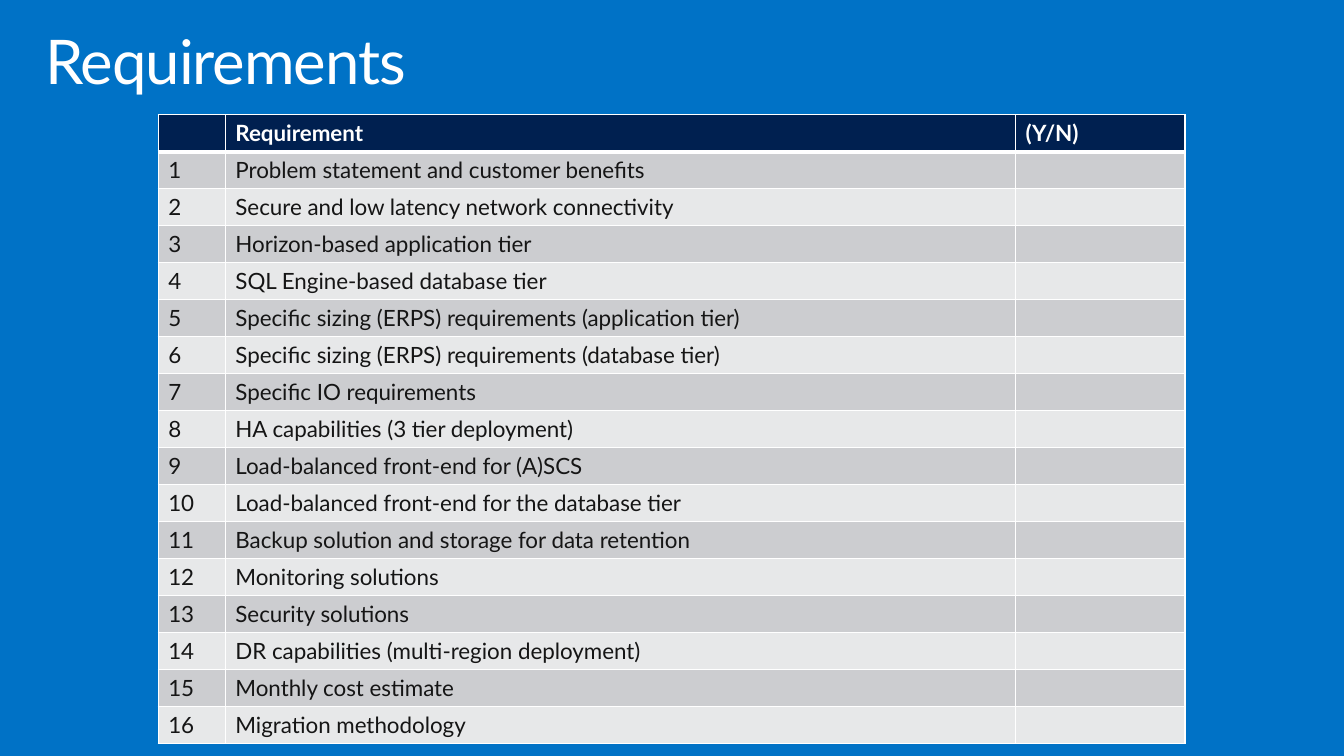
from lxml import etree
from pptx import Presentation
from pptx.dml import color as c
from pptx.oxml import ns
from pptx.util import Pt

FONT = "Lato"
WHITE, INK, BLUE, NAVY = "FFFFFF", "151515", "0072C6", "002050"
BANDS = ("CCCDD0", "E7E8E9")
COLUMN_WIDTHS = (48, 564.5, 121)
ROW_HEIGHT = 26.4
REQUIREMENTS = (
    "Problem statement and customer benefits",
    "Secure and low latency network connectivity",
    "Horizon-based application tier",
    "SQL Engine-based database tier",
    "Specific sizing (ERPS) requirements (application tier)",
    "Specific sizing (ERPS) requirements (database tier)",
    "Specific IO requirements",
    "HA capabilities (3 tier deployment)",
    "Load-balanced front-end for (A)SCS",
    "Load-balanced front-end for the database tier",
    "Backup solution and storage for data retention",
    "Monitoring solutions",
    "Security solutions",
    "DR capabilities (multi-region deployment)",
    "Monthly cost estimate",
    "Migration methodology",
)


def paint(color_format, value):
    """Give a solid fill or a font a hex colour."""
    target = color_format.fore_color if hasattr(color_format, "fore_color") else color_format.color
    target.rgb = c.RGBColor.from_string(value)


def write(frame, content, size=16, color=INK, bold=False, spacing=0, line_spacing=None):
    """Write one paragraph, keeping the text size even when it is empty."""
    paragraph = frame.paragraphs[0]
    paragraph.line_spacing = line_spacing
    if not content:
        ending = etree.SubElement(paragraph._p, ns.qn("a:endParaRPr"))
        ending.set("sz", str(size * 100))
        etree.SubElement(ending, ns.qn("a:latin")).set("typeface", FONT)
        return
    run = paragraph.add_run()
    run.text = content
    run.font.name, run.font.size, run.font.bold = FONT, Pt(size), bold
    paint(run.font, color)
    if spacing:
        run._r.get_or_add_rPr().set("spc", str(int(spacing * 100)))


def add_borders(cell, top=1, bottom=1):
    """Draw white borders around a cell."""
    properties = cell._tc.get_or_add_tcPr()
    for side, width in (("L", 1), ("R", 1), ("T", top), ("B", bottom)):
        line = etree.SubElement(properties, ns.qn(f"a:ln{side}"), w=str(Pt(width)))
        fill = etree.SubElement(line, ns.qn("a:solidFill"))
        etree.SubElement(fill, ns.qn("a:srgbClr"), val=WHITE)


def add_title(slide, content):
    """Add the slide title."""
    shape = slide.shapes.add_textbox(Pt(21), Pt(15), Pt(935), Pt(104.5))
    frame = shape.text_frame
    frame.word_wrap = True
    frame.margin_left = frame.margin_right = Pt(11.5)
    frame.margin_top = frame.margin_bottom = Pt(7.2)
    write(frame, content, size=44, color=WHITE, spacing=-0.8, line_spacing=0.9)


def add_requirements_table(slide):
    """Add the numbered checklist with a dark header and banded rows."""
    rows = [("", "Requirement", "(Y/N)")]
    rows += [(str(number), name, "") for number, name in enumerate(REQUIREMENTS, 1)]
    table = slide.shapes.add_table(
        len(rows), len(COLUMN_WIDTHS), Pt(113), Pt(82),
        Pt(sum(COLUMN_WIDTHS)), Pt(ROW_HEIGHT * len(rows))).table
    for column, width in zip(table.columns, COLUMN_WIDTHS):
        column.width = Pt(width)
    for index, values in enumerate(rows):
        table.rows[index].height = Pt(ROW_HEIGHT)
        header = index == 0
        for column, content in enumerate(values):
            cell = table.cell(index, column)
            add_borders(cell, top=3 if index == 1 else 1, bottom=3 if header else 1)
            cell.fill.solid()
            paint(cell.fill, NAVY if header else BANDS[(index - 1) % 2])
            write(cell.text_frame, content, color=WHITE if header else INK, bold=header)


def main():
    """Build and save the requirements slide."""
    presentation = Presentation()
    presentation.slide_width, presentation.slide_height = Pt(960), Pt(540)
    slide = presentation.slides.add_slide(presentation.slide_layouts[6])
    slide.background.fill.solid()
    paint(slide.background.fill, BLUE)
    add_title(slide, "Requirements")
    add_requirements_table(slide)
    presentation.save("out.pptx")


if __name__ == "__main__":
    main()
